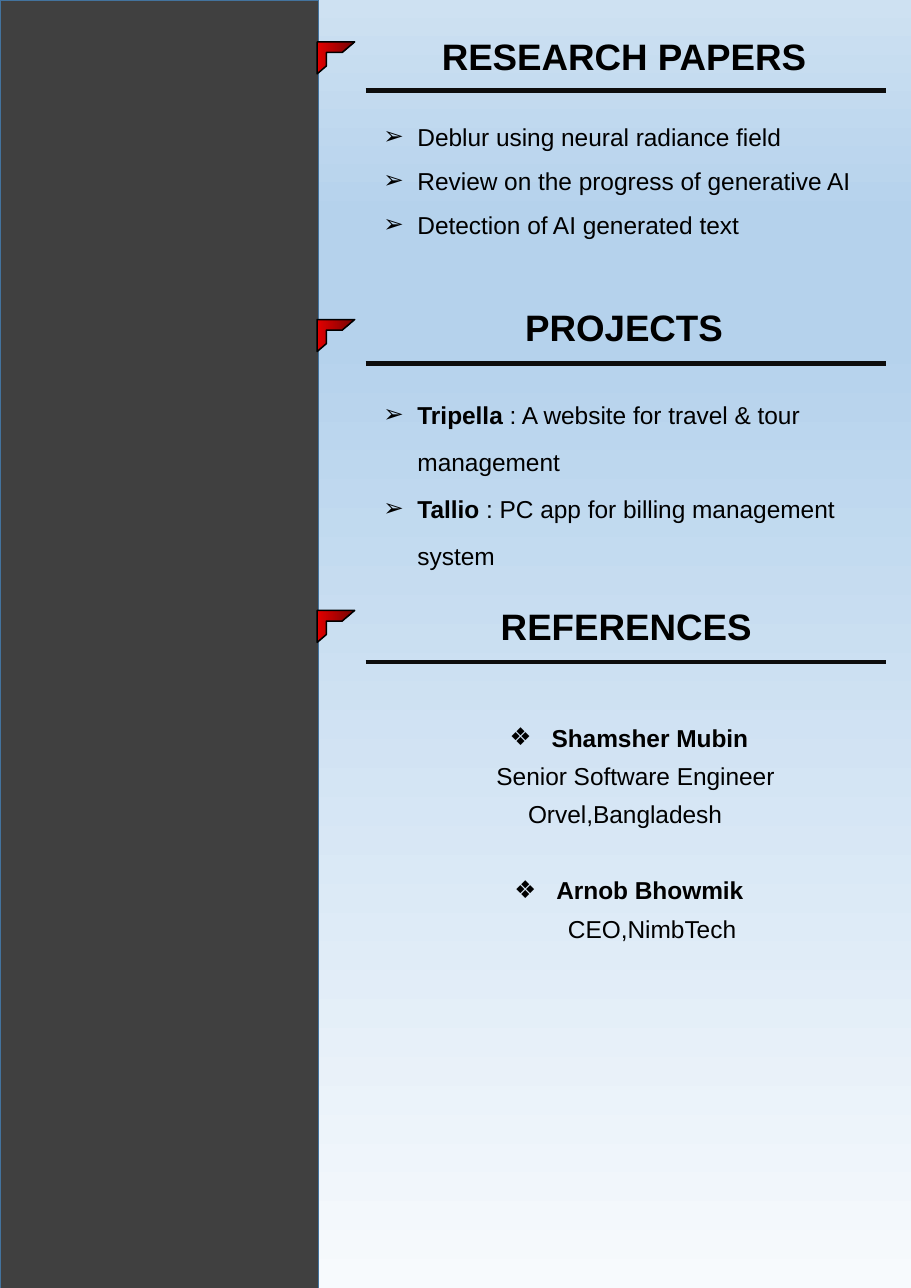
from copy import deepcopy
from dataclasses import dataclass

from lxml import etree
from pptx import Presentation
from pptx import util as u
from pptx.dml.color import RGBColor
from pptx.dml.fill import FillFormat
from pptx.enum import shapes, text
from pptx.oxml.ns import qn
from pptx.slide import Slide
from pptx.text.text import TextFrame


@dataclass(frozen=True)
class Theme:
    font: str = "Arial"
    heading_size: int = 24
    body_size: int = 16
    ink: str = "000000"
    rule: str = "0D0D0D"
    sidebar: str = "404040"
    sidebar_edge: str = "43739E"
    marker: tuple = ((0, "E30000"), (1, "760303"))
    sky: tuple = ((0, "F7FAFD"), (0.74, "B5D2EC"), (0.83, "B5D2EC"), (1, "CEE1F2"))


@dataclass(frozen=True)
class Line:
    bold: str = ""
    plain: str = ""
    bullet: str = ""
    margin: float = 0
    hang: float = 0
    before: float = 0


@dataclass(frozen=True)
class Section:
    heading: str
    heading_left: float
    heading_top: float
    marker_top: float
    rule_y: float
    list_left: float
    list_top: float
    list_height: float
    spacing: float
    align: text.PP_ALIGN
    lines: tuple[Line, ...]


THEME = Theme()
MARKER_LEFT = 2.88
TEXT_WIDTH = 4.47


def entry(bold: str, plain: str) -> Line:
    return Line(bold, plain, "➢", 0.31, 0.31)


def referee(name: str, before: float = 0) -> Line:
    return Line(name, "", "❖", 0.45, 0.38, before)


SECTIONS = (
    Section("RESEARCH PAPERS", 3.43, 0.31, 0.38, 0.82, 3.48, 0.97, 1.3, 1.5,
            text.PP_ALIGN.LEFT, (
                entry("", "Deblur using neural radiance field"),
                entry("", "Review on the progress of generative AI"),
                entry("", "Detection of AI generated text"),
            )),
    Section("PROJECTS", 3.43, 2.77, 2.9, 3.3, 3.48, 3.47, 1.75, 1.6,
            text.PP_ALIGN.LEFT, (
                entry("Tripella", " : A website for travel & tour management"),
                entry("Tallio", " : PC app for billing management system"),
            )),
    Section("REFERENCES", 3.45, 5.48, 5.54, 6.01, 3.44, 6.48, 2.2, 1.3,
            text.PP_ALIGN.CENTER, (
                referee("Shamsher Mubin"),
                Line(plain="Senior Software Engineer", margin=0.19),
                Line(plain="Orvel,Bangladesh"),
                referee("Arnob Bhowmik", before=25),
                Line(plain="CEO,NimbTech", margin=0.49),
            )),
)


def color(value: str) -> RGBColor:
    return RGBColor.from_string(value)


def paint_gradient(fill: FillFormat, owner, stops: tuple, angle: float) -> None:
    fill.gradient()
    fill.gradient_angle = angle
    stop_list = owner.find(".//" + qn("a:gsLst"))
    while len(stop_list) < len(stops):
        stop_list.append(deepcopy(stop_list[0]))
    for stop, (position, value) in zip(fill.gradient_stops, stops):
        stop.position = position
        stop.color.rgb = color(value)


def write(frame: TextFrame, lines: tuple[Line, ...], *, size: int,
          align: text.PP_ALIGN, spacing: float = 1.0) -> None:
    frame.word_wrap = True
    frame.auto_size = text.MSO_AUTO_SIZE.NONE
    frame.vertical_anchor = text.MSO_ANCHOR.TOP
    frame.margin_left = frame.margin_right = 0
    frame.margin_top = frame.margin_bottom = 0
    for index, line in enumerate(lines):
        paragraph = frame.add_paragraph() if index else frame.paragraphs[0]
        paragraph.alignment = align
        paragraph.line_spacing = spacing
        paragraph.space_before = u.Pt(line.before)
        paragraph.space_after = u.Pt(0)
        for words, bold in ((line.bold, True), (line.plain, False)):
            if words:
                run = paragraph.add_run()
                run.text = words
                run.font.name = THEME.font
                run.font.size = u.Pt(size)
                run.font.bold = bold
                run.font.color.rgb = color(THEME.ink)
        properties = paragraph._p.get_or_add_pPr()
        properties.set("marL", str(u.Inches(line.margin)))
        properties.set("indent", str(-u.Inches(line.hang)))
        if line.bullet:
            etree.SubElement(properties, qn("a:buFont"), typeface=THEME.font)
            etree.SubElement(properties, qn("a:buChar"), char=line.bullet)
        else:
            etree.SubElement(properties, qn("a:buNone"))


def place(part, left: float, top: float, height: float) -> None:
    part.left, part.top = u.Inches(left), u.Inches(top)
    part.width, part.height = u.Inches(TEXT_WIDTH), u.Inches(height)


def draw_sidebar(slide: Slide) -> None:
    sidebar = slide.shapes.add_shape(
        shapes.MSO_SHAPE.RECTANGLE, 0, 0, u.Inches(2.89), u.Inches(11.72))
    sidebar.shadow.inherit = False
    sidebar.fill.solid()
    sidebar.fill.fore_color.rgb = color(THEME.sidebar)
    sidebar.line.color.rgb = color(THEME.sidebar_edge)
    sidebar.line.width = u.Pt(1)


def draw_section(slide: Slide, section: Section, heading, listing) -> None:
    place(heading, section.heading_left, section.heading_top, 0.4)
    write(heading.text_frame, (Line(section.heading),),
          size=THEME.heading_size, align=text.PP_ALIGN.CENTER)
    place(listing, section.list_left, section.list_top, section.list_height)
    write(listing.text_frame, section.lines, size=THEME.body_size,
          align=section.align, spacing=section.spacing)

    marker = slide.shapes.add_shape(
        shapes.MSO_SHAPE.HALF_FRAME, u.Inches(MARKER_LEFT),
        u.Inches(section.marker_top), u.Inches(0.34), u.Inches(0.29))
    marker.shadow.inherit = False
    marker.adjustments[0], marker.adjustments[1] = 0.333, 0.286
    paint_gradient(marker.fill, marker._element, THEME.marker, 0)
    marker.line.color.rgb = color(THEME.ink)
    marker.line.width = u.Pt(1)

    rule = slide.shapes.add_connector(
        shapes.MSO_CONNECTOR.STRAIGHT, u.Inches(3.32), u.Inches(section.rule_y),
        u.Inches(8.04), u.Inches(section.rule_y))
    rule.line.color.rgb = color(THEME.rule)
    rule.line.width = u.Pt(3)
    etree.SubElement(rule._element.spPr, qn("a:effectLst"))


def main() -> None:
    deck = Presentation()
    deck.slide_width, deck.slide_height = u.Inches(8.27), u.Inches(11.69)
    comparison = deck.slide_layouts.get_by_name("Comparison")
    slide = deck.slides.add_slide(comparison)
    paint_gradient(slide.background.fill, slide._element, THEME.sky, 90)
    draw_sidebar(slide)
    slots = slide.placeholders
    referees = slide.shapes.add_textbox(0, 0, 0, 0)
    pairs = ((slots[0], slots[2]), (slots[1], slots[4]), (slots[3], referees))
    for section, (heading, listing) in zip(SECTIONS, pairs):
        draw_section(slide, section, heading, listing)
    deck.save("out.pptx")


if __name__ == "__main__":
    main()
